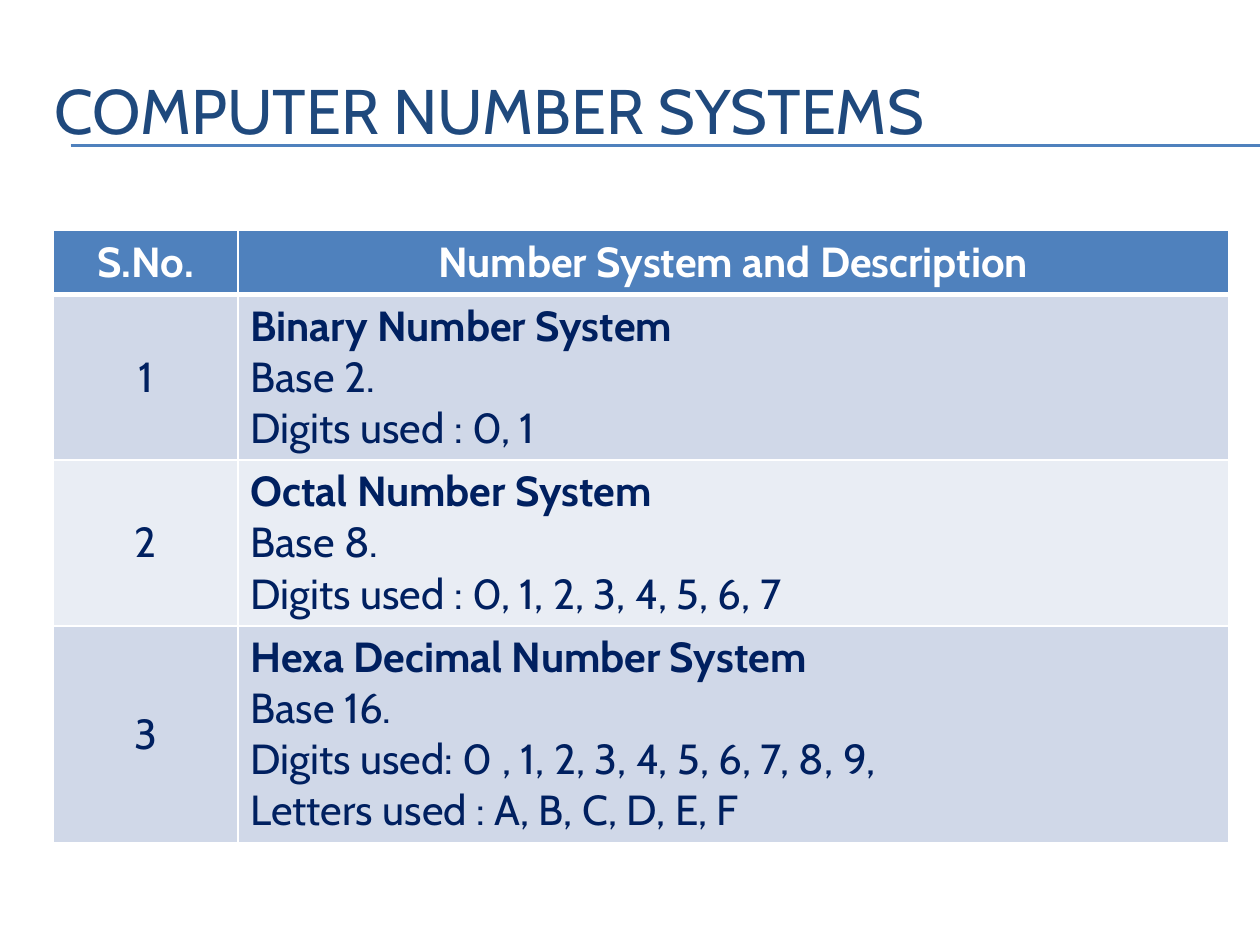
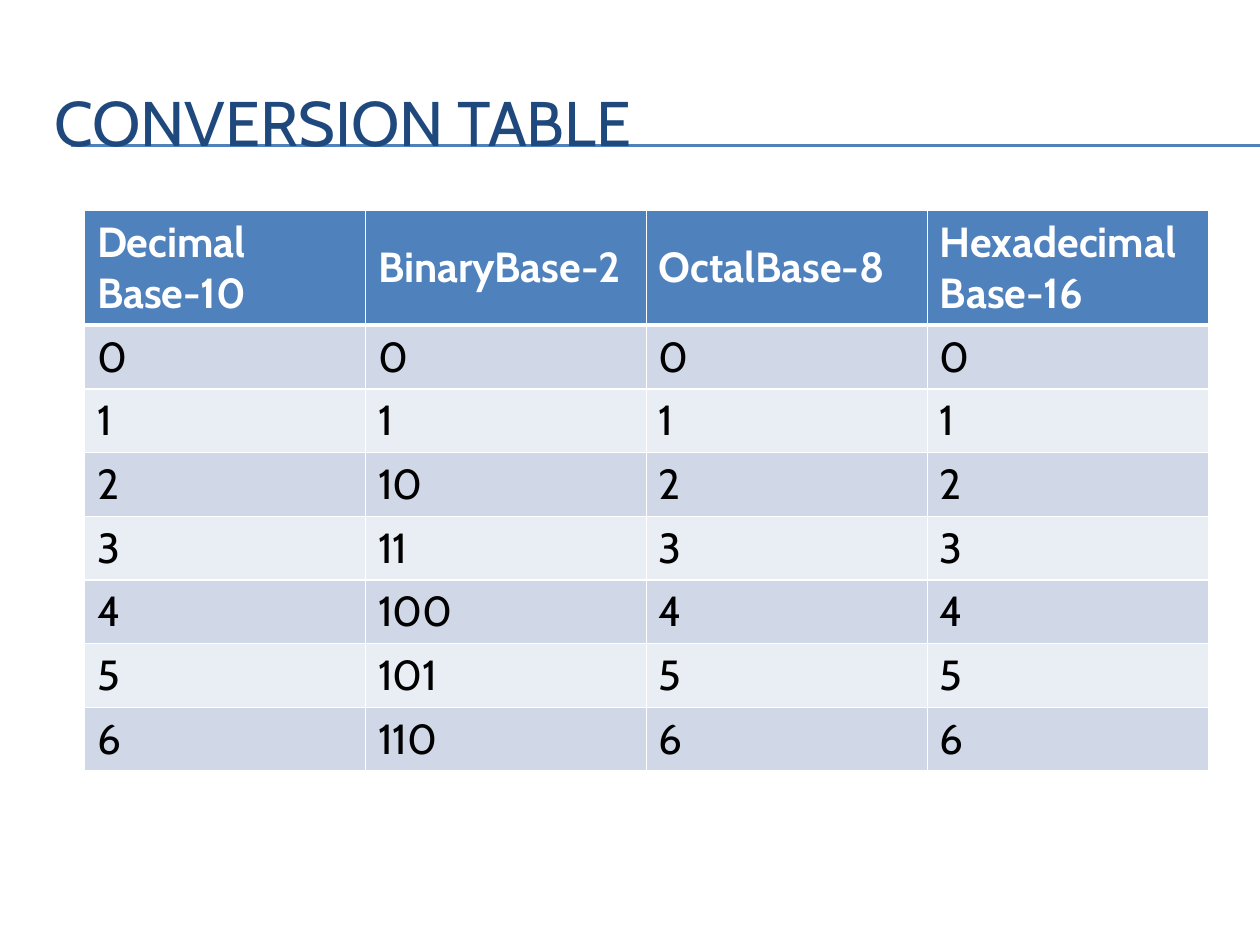
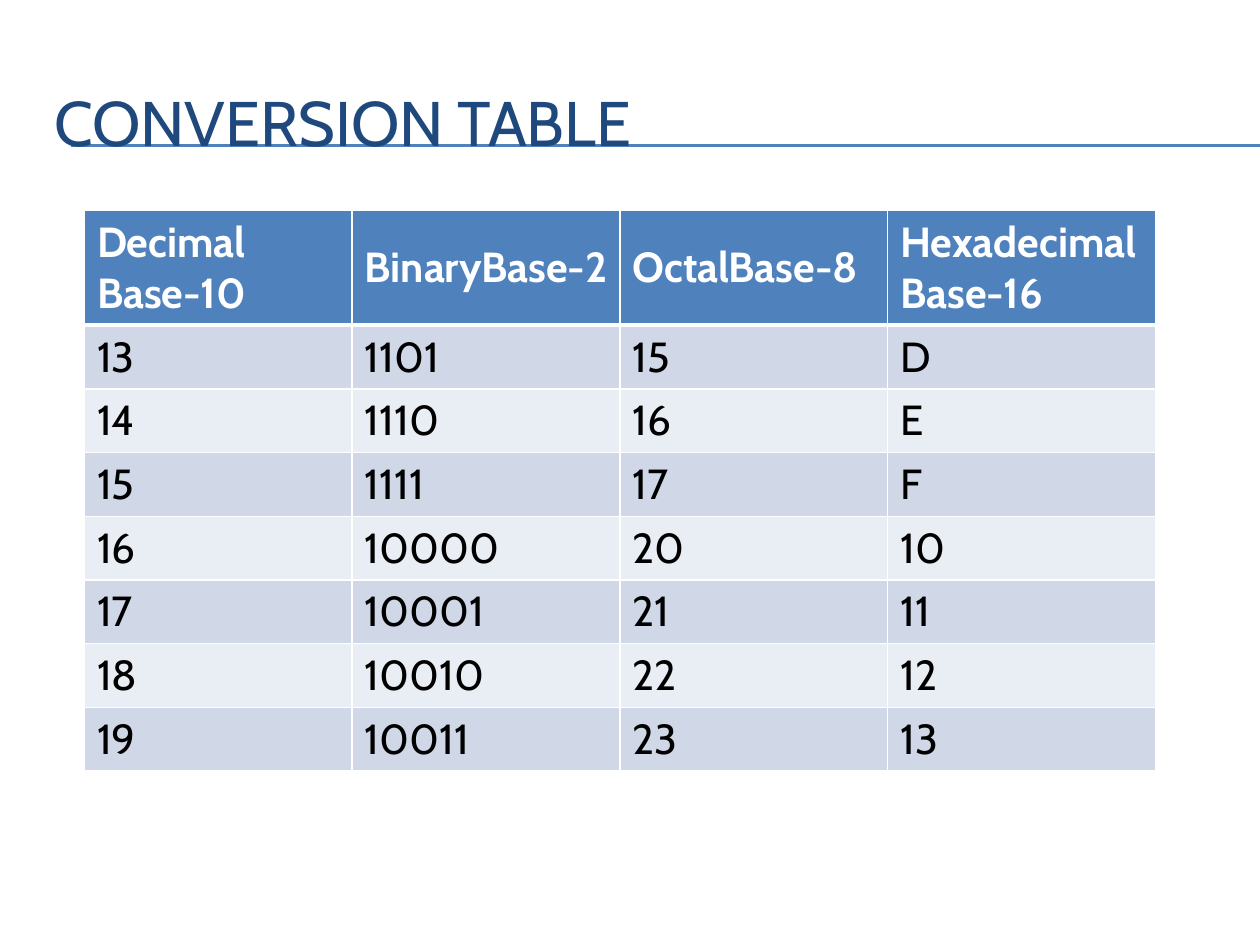
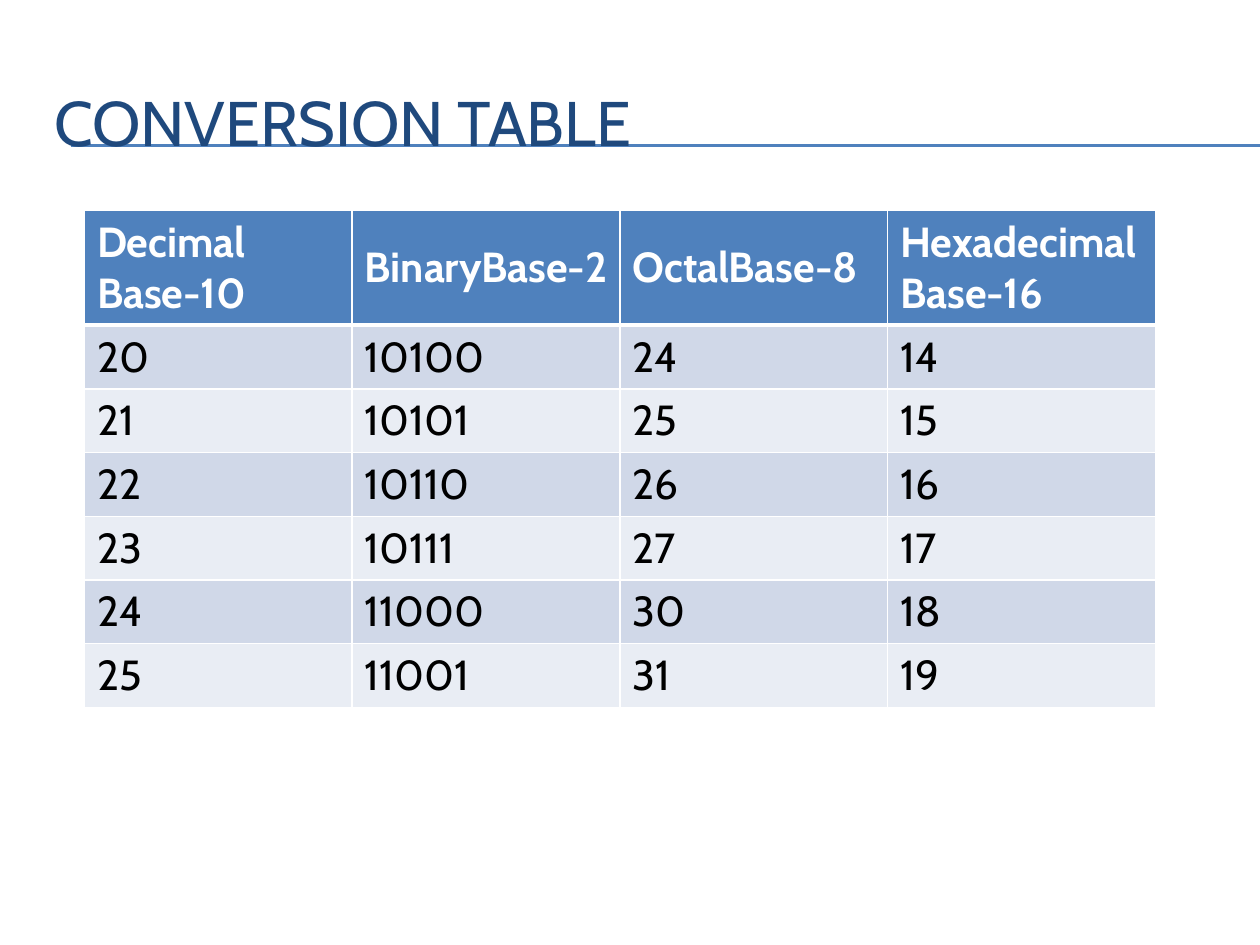
from lxml.etree import SubElement
from pptx import Presentation
from pptx.dml.color import RGBColor
from pptx.enum.shapes import MSO_CONNECTOR
from pptx.enum.text import MSO_ANCHOR, PP_ALIGN
from pptx.oxml.ns import qn
from pptx.util import Inches, Pt

# Shared style
FONT = "Cabin"
WHITE = RGBColor(0xFF, 0xFF, 0xFF)
BLACK = RGBColor(0x00, 0x00, 0x00)
BLUE = RGBColor(0x4F, 0x81, 0xBD)
TITLE = RGBColor(0x1F, 0x49, 0x7D)
NAVY = RGBColor(0x00, 0x20, 0x60)
BANDS = (RGBColor(0xE9, 0xED, 0xF4), RGBColor(0xD0, 0xD8, 0xE8))

# Content
SYSTEMS = [
    ["Binary Number System", "Base 2.", "Digits used : 0, 1"],
    ["Octal Number System", "Base 8.", "Digits used : 0, 1, 2, 3, 4, 5, 6, 7"],
    ["Hexa Decimal Number System", "Base 16.",
     "Digits used: 0 , 1, 2, 3, 4, 5, 6, 7, 8, 9,",
     "Letters used : A, B, C, D, E, F"],
]
BASES = ["Decimal Base-10", "BinaryBase-2", "OctalBase-8", "HexadecimalBase-16"]
SPANS = [(range(0, 7), 8.92), (range(13, 20), 8.5), (range(20, 26), 8.5)]


class Deck:
    def __init__(self):
        self.prs = Presentation()
        self.prs.slide_width = Inches(10)
        self.prs.slide_height = Inches(7.5)
        self.layout = self.prs.slide_layouts[5]
        self.slide = None

    def add(self, title, top, height):
        """Start a slide with its title."""
        self.slide = self.prs.slides.add_slide(self.layout)
        box = self.slide.shapes.title
        box.left, box.top = Inches(0.33), Inches(top)
        box.width, box.height = Inches(9.5), Inches(height)
        box.text_frame.vertical_anchor = MSO_ANCHOR.MIDDLE
        para = box.text_frame.paragraphs[0]
        para.alignment = PP_ALIGN.LEFT
        self.run(para, title, 36, TITLE, False)

    def run(self, para, text, size, color, bold):
        run = para.add_run()
        run.text = text
        font = run.font
        font.name, font.size, font.bold = FONT, Pt(size), bold
        font.color.rgb = color

    def rules(self, *tops):
        """Draw the title rules and move them to the shared layout."""
        lines = [self.slide.shapes.add_connector(
            MSO_CONNECTOR.STRAIGHT, Inches(0.56), Inches(top), Inches(10), Inches(top))
            for top in tops]
        for num, line in enumerate(lines, 101):
            line.line.color.rgb = BLUE
            line.line.width = Pt(0.75)
            SubElement(line.element.spPr, qn("a:effectLst"))
            line.element.nvCxnSpPr.cNvPr.set("id", str(num))
            self.layout.shapes.element.append(line.element)

    def border(self, cell, row):
        props = cell._tc.get_or_add_tcPr()
        thick = {"T": row == 1, "B": row == 0}
        for side in "LRTB":
            width = Pt(3 if thick.get(side) else 1)
            edge = SubElement(props, qn(f"a:ln{side}"), w=str(width))
            fill = SubElement(edge, qn("a:solidFill"))
            SubElement(fill, qn("a:srgbClr"), val=str(WHITE))

    def cell(self, cell, row, lines, color, align):
        """Fill one cell; the first of several lines is bold."""
        self.border(cell, row)
        cell.vertical_anchor = MSO_ANCHOR.MIDDLE
        cell.fill.solid()
        cell.fill.fore_color.rgb = BANDS[row % 2] if row else BLUE
        frame = cell.text_frame
        for num, text in enumerate(lines):
            para = frame.add_paragraph() if num else frame.paragraphs[0]
            para.alignment = align
            bold = row == 0 or (len(lines) > 1 and num == 0)
            self.run(para, text, 24, color if row else WHITE, bold)

    def table(self, left, top, cols, heights, rows, color, align):
        """Add a table; align(row, col) gives each cell's alignment."""
        grid = self.slide.shapes.add_table(
            len(rows), len(cols), Inches(left), Inches(top),
            Inches(sum(cols)), Inches(sum(heights))).table
        grid.horz_banding = False
        for col, width in zip(grid.columns, cols):
            col.width = Inches(width)
        for r, (row, height) in enumerate(zip(rows, heights)):
            grid.rows[r].height = Inches(height)
            for c, lines in enumerate(row):
                self.cell(grid.cell(r, c), r, lines, color, align(r, c))


def main():
    deck = Deck()

    # Number systems
    deck.add("COMPUTER NUMBER SYSTEMS", 0.33, 1.08)
    deck.rules(1.15, 1.16)
    rows = [[["S.No."], ["Number System and Description"]]]
    rows += [[[str(num)], lines] for num, lines in enumerate(SYSTEMS, 1)]
    deck.table(0.42, 1.83, [1.47, 7.86], [0.5, 1.3, 1.3, 1.7], rows, NAVY,
               lambda r, c: PP_ALIGN.LEFT if r and c else PP_ALIGN.CENTER)

    # Conversion tables
    for span, width in SPANS:
        deck.add("CONVERSION TABLE", 0.5, 0.92)
        rows = [[[name] for name in BASES]]
        rows += [[[format(num, base)] for base in "dboX"] for num in span]
        deck.table(0.67, 1.67, [width / 4] * 4, [0.9] + [0.5] * len(span), rows,
                   BLACK, lambda r, c: PP_ALIGN.LEFT)

    deck.prs.save("out.pptx")


if __name__ == "__main__":
    main()
